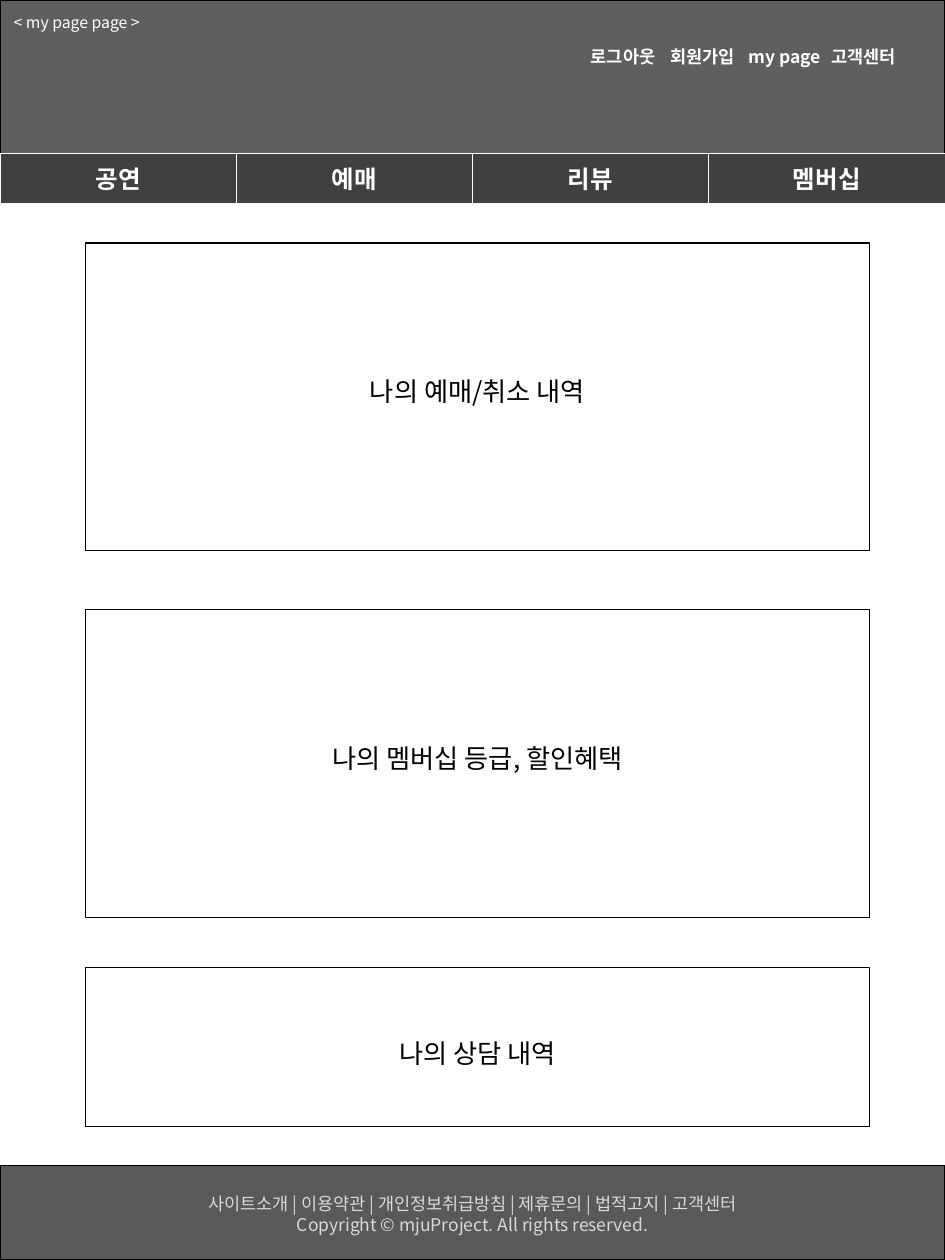
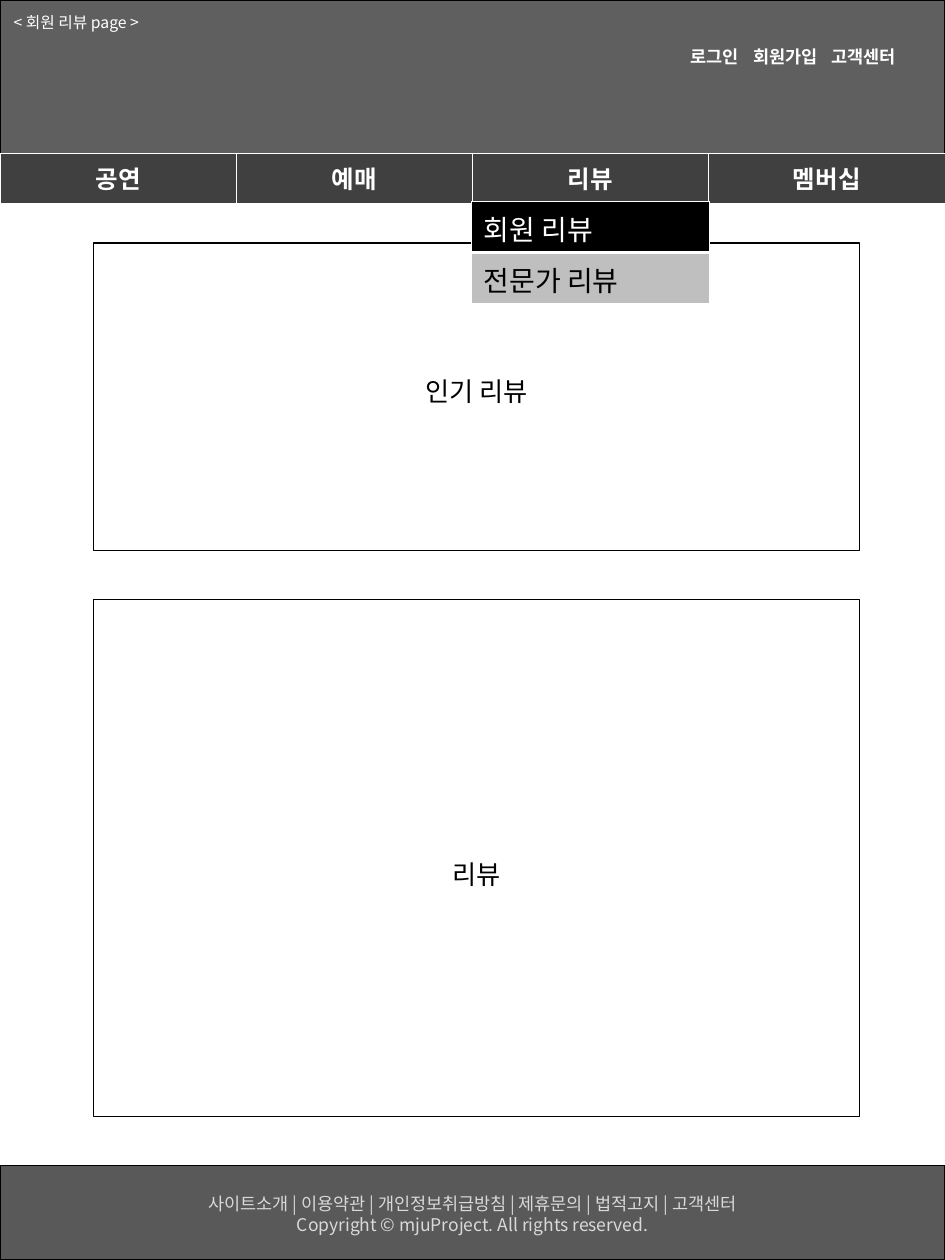
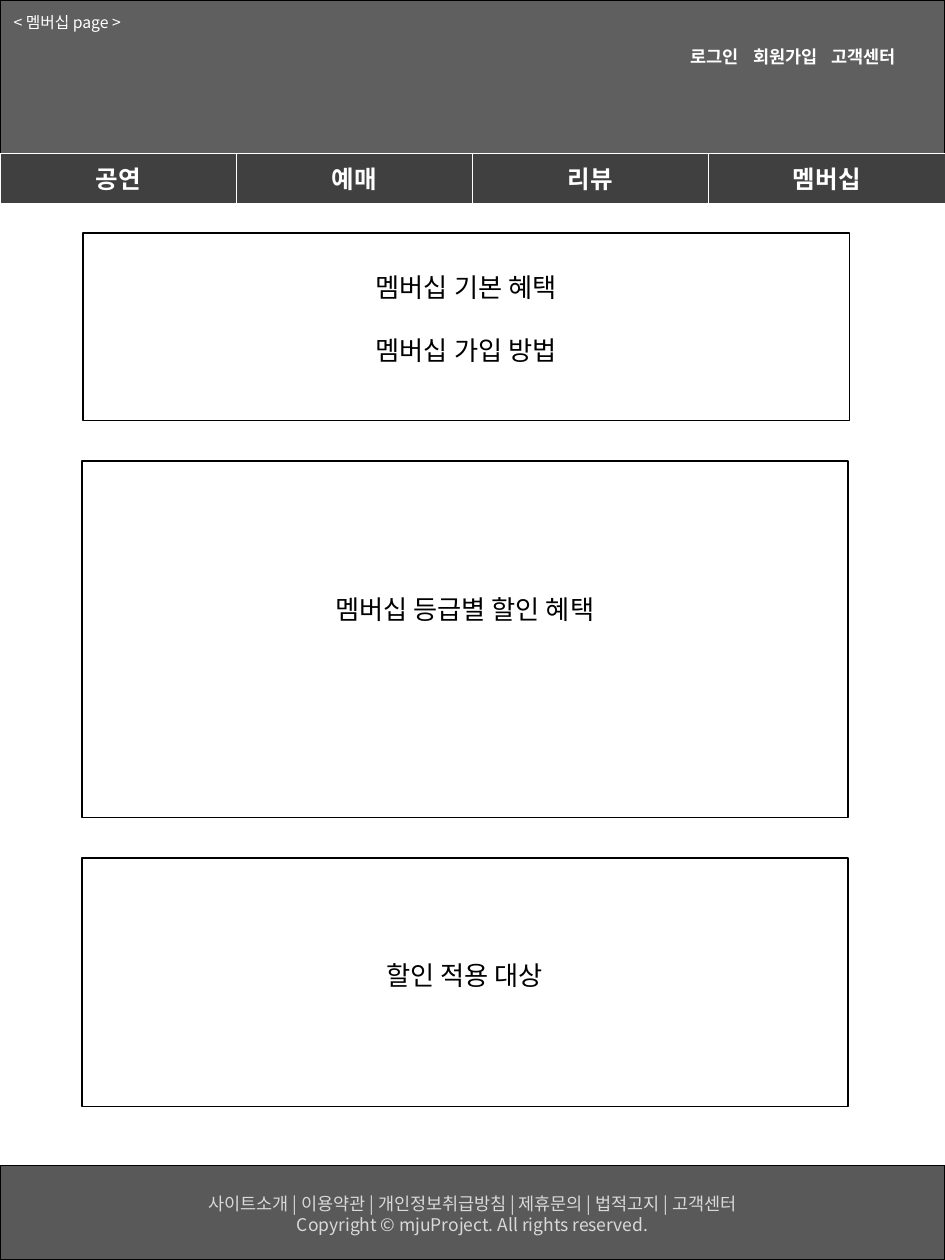
from dataclasses import dataclass

from lxml.etree import SubElement
from pptx import Presentation
from pptx.dml.color import RGBColor
from pptx.enum.shapes import MSO_SHAPE as Preset
from pptx.enum.text import MSO_ANCHOR as Anchor, MSO_AUTO_SIZE as AutoSize, PP_ALIGN as Align
from pptx.oxml import parse_xml
from pptx.oxml.ns import nsdecls, qn
from pptx.util import Inches, Pt


@dataclass(frozen=True)
class Theme:
    font: str = "Noto Sans CJK KR"
    black: str = "000000"
    white: str = "FFFFFF"
    header: str = "5F5F5F"
    navigation: str = "404040"
    footer: str = "595959"
    footer_text: str = "D9D9D9"
    submenu: str = "BFBFBF"
    label_size: int = 9
    small_size: int = 10
    navigation_size: int = 14
    body_size: int = 15
    submenu_size: int = 16
    outline: float = 0.75
    thin_border: float = 0.45
    thick_border: float = 1.47


theme = Theme()


def write_text(text_frame, text, size, color, align=Align.LEFT, bold=False, line_height=None, gap=0):
    text_frame.text = text
    for index, paragraph in enumerate(text_frame.paragraphs):
        paragraph.alignment = align
        if line_height:
            paragraph.line_spacing = Pt(line_height)
        paragraph.space_before = Pt(gap if index else 0)
        for run in paragraph.runs:
            run.font.name = theme.font
            run.font.size = Pt(size)
            run.font.bold = bold
            run.font.color.rgb = RGBColor.from_string(color)
            SubElement(run.font._element, qn("a:ea"), typeface=theme.font)


def add_bordered_table(slide, at, rows, size, align, bold):
    """Each row is a list of (text, fill, text colour) cells; the first row has a thick lower border."""
    frame = slide.shapes.add_table(len(rows), len(rows[0]), *map(Inches, at))
    table = frame.table
    table.first_row = table.horz_banding = False
    for row_index, row in enumerate(rows):
        for column_index, (text, fill, color) in enumerate(row):
            cell = table.cell(row_index, column_index)
            write_text(cell.text_frame, text, size, color, align, bold)
            cell.fill.solid()
            cell.fill.fore_color.rgb = RGBColor.from_string(fill)
            thick_side = "T" if row_index else "B"
            for position, side in enumerate("LRTB"):
                width = theme.thick_border if side == thick_side else theme.thin_border
                border = parse_xml(
                    f'<a:ln{side} {nsdecls("a")} w="{Pt(width)}"><a:solidFill>'
                    f'<a:srgbClr val="{theme.white}"/></a:solidFill></a:ln{side}>')
                cell._tc.get_or_add_tcPr().insert(position, border)


header = ((0, 0, 7.5, 1.22), theme.header, "", 0, 0)
footer_text = ("사이트소개 | 이용약관 | 개인정보취급방침 | 제휴문의 | 법적고지 | 고객센터\n"
               "Copyright © mjuProject. All rights reserved.")
guest_links = [(5.48, "로그인"), (5.98, "회원가입"), (6.6, "고객센터")]
member_links = [(4.69, "로그아웃"), (5.32, "회원가입"), (5.94, "my page"), (6.6, "고객센터")]
menu = ["공연", "예매", "리뷰", "멤버십"]

# Each panel: position, text, lines left free above the text
pages = [
    dict(label="< my page page >", label_width=1.61, links=member_links, title_left=3.45, submenu=False,
         panels=[((0.68, 1.93, 6.22, 2.44), "나의 예매/취소 내역", 4),
                 ((0.68, 4.84, 6.22, 2.44), "나의 멤버십 등급, 할인혜택", 4),
                 ((0.68, 7.68, 6.22, 1.26), "나의 상담 내역", 2)]),
    dict(label="< 회원 리뷰 page >", label_width=1.46, links=guest_links, title_left=5.17, submenu=True,
         panels=[((0.74, 1.93, 6.08, 2.44), "인기 리뷰", 4),
                 ((0.74, 4.76, 6.08, 4.1), "리뷰", 8)]),
    dict(label="< 멤버십 page >", label_width=1.3, links=guest_links, title_left=5.17, submenu=False,
         panels=[((0.66, 1.85, 6.08, 1.49), "멤버십 기본 혜택\n멤버십 가입 방법", 1),
                 ((0.65, 3.66, 6.08, 2.83), "멤버십 등급별 할인 혜택", 4),
                 ((0.65, 6.81, 6.08, 1.97), "할인 적용 대상", 3)]),
]

presentation = Presentation()
presentation.slide_width = Inches(7.5)
presentation.slide_height = Inches(10)

for page in pages:
    slide = presentation.slides.add_slide(presentation.slide_layouts[5])

    # Header, footer and content panels
    blocks = [((0, 0, 7.5, 1.22), theme.header, "", 0, theme.small_size, theme.white),
              ((0, 9.25, 7.5, 0.75), theme.footer, footer_text, 1, theme.small_size, theme.footer_text)]
    blocks += [(at, theme.white, text, free_lines, theme.body_size, theme.black)
               for at, text, free_lines in page["panels"]]
    for at, fill, text, free_lines, size, color in blocks:
        block = slide.shapes.add_shape(Preset.RECTANGLE, *map(Inches, at))
        block.shadow.inherit = False
        block.fill.solid()
        block.fill.fore_color.rgb = RGBColor.from_string(fill)
        block.line.color.rgb = RGBColor.from_string(theme.black)
        block.line.width = Pt(theme.outline)
        if text:
            line_height = 1.2 * size
            block.text_frame.vertical_anchor = Anchor.TOP
            block.text_frame.margin_top = Inches(0.05) + Pt(free_lines * line_height)
            gap = line_height if size == theme.body_size else 0
            write_text(block.text_frame, text, size, color, Align.CENTER, line_height=line_height, gap=gap)

    # Account links in the title, spaced by tab stops
    title = slide.shapes.title
    slide.shapes[-1].element.addnext(title.element)
    title.left, title.top = Inches(page["title_left"]), Inches(0.2)
    title.width, title.height = Inches(7.22 - page["title_left"]), Inches(0.5)
    first_left = page["links"][0][0]
    title_frame = title.text_frame
    title_frame.auto_size = AutoSize.NONE
    title_frame.word_wrap = True
    title_frame.vertical_anchor = Anchor.MIDDLE
    title_frame.margin_left = Inches(first_left - page["title_left"])
    title_frame.margin_right = 0
    write_text(title_frame, "\t".join(word for _, word in page["links"]),
               theme.small_size, theme.white, bold=True)
    tab_stops = SubElement(title_frame.paragraphs[0]._p.get_or_add_pPr(), qn("a:tabLst"))
    for left, _ in page["links"][1:]:
        SubElement(tab_stops, qn("a:tab"), pos=str(Inches(left - first_left)), algn="l")

    # Page label
    label = slide.shapes.add_textbox(Inches(0.01), 0, Inches(page["label_width"]), Inches(0.35))
    label.text_frame.word_wrap = True
    label.text_frame.vertical_anchor = Anchor.MIDDLE
    write_text(label.text_frame, page["label"], theme.label_size, theme.white)

    # Navigation bar and open submenu
    add_bordered_table(slide, (0, 1.22, 7.5, 0.4),
                       [[(name, theme.navigation, theme.white) for name in menu]],
                       theme.navigation_size, Align.CENTER, True)
    if page["submenu"]:
        add_bordered_table(slide, (3.74, 1.6, 1.89, 0.81),
                           [[("회원 리뷰", theme.black, theme.white)],
                            [("전문가 리뷰", theme.submenu, theme.black)]],
                           theme.submenu_size, Align.LEFT, False)

presentation.save("out.pptx")
